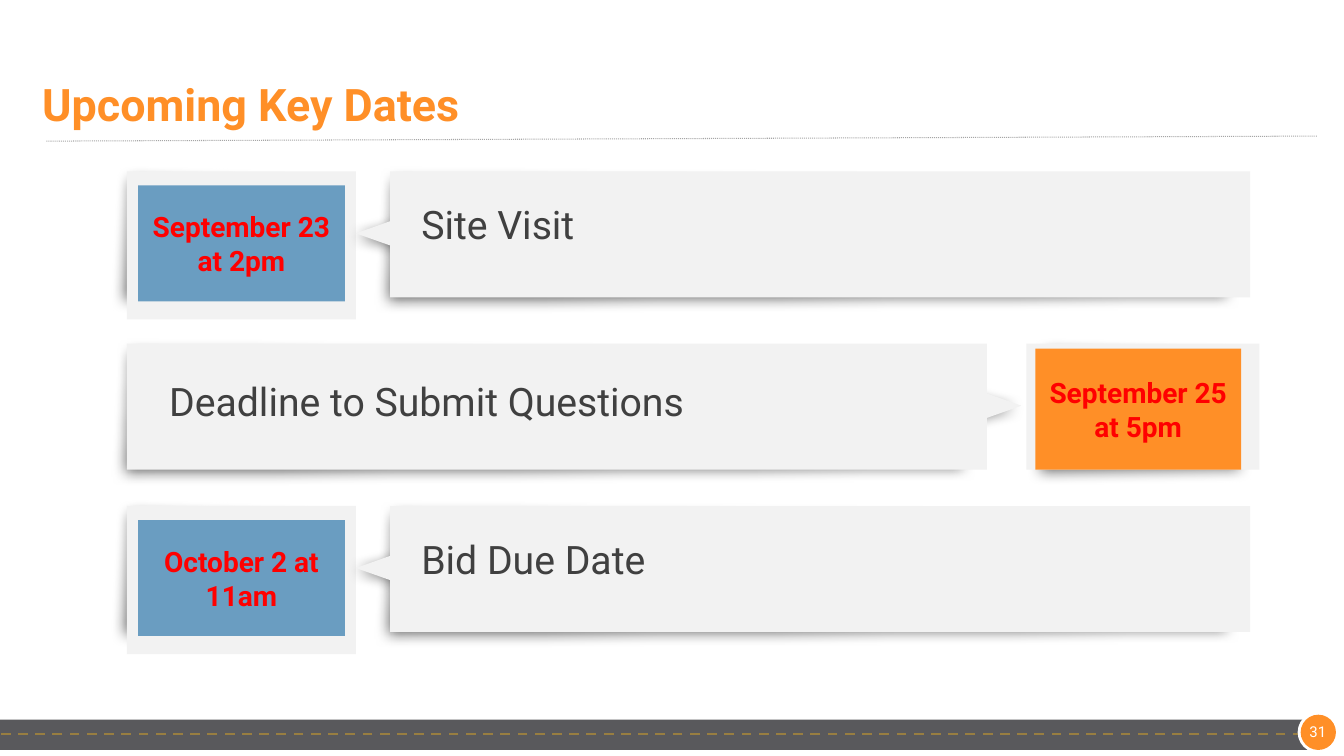
from lxml import etree
from pptx import Presentation
from pptx.dml.color import RGBColor
from pptx.enum.dml import MSO_LINE_DASH_STYLE as Dash
from pptx.enum.shapes import MSO_CONNECTOR, MSO_SHAPE as Preset
from pptx.enum.text import MSO_ANCHOR, PP_ALIGN
from pptx.oxml.ns import qn
from pptx.util import Inches, Pt

TITLE = "Upcoming Key Dates"
PAGE_NUMBER = "31"
FONT = "Roboto"
ORANGE, BLUE, RED = "FF8F27", "6A9DC1", "FF0000"
WHITE, PANEL, DARK = "FFFFFF", "F2F2F2", "404040"

LEFT_DATE = {
    "frame": (1.26, 2.27, 1.47), "frame_shadow": 1.26,
    "date_box": (1.37, 0.14, 2.05, 1.15), "date_fill": BLUE,
    "bar": 3.87, "label": (4.08, 0.24, 8.21), "rotation": 270,
    "pointer": 3.61, "pointer_shadow": 3.67,
}
RIGHT_DATE = {
    "frame": (10.18, 2.31, 1.25), "frame_shadow": 10.35,
    "date_box": (10.27, 0.05, 2.04, 1.2), "date_fill": ORANGE,
    "bar": 1.26, "label": (1.58, 0.28, 7.93), "rotation": 90,
    "pointer": 9.66, "pointer_shadow": 9.77,
}
# top, date, event, arrangement
EVENTS = [
    (1.7, "September 23 at 2pm", "Site Visit", LEFT_DATE),
    (3.41, "September 25 at 5pm", "Deadline to Submit Questions", RIGHT_DATE),
    (5.02, "October 2 at 11am", "Bid Due Date", LEFT_DATE),
]
BAR_WIDTH, BAR_HEIGHT = 8.53, 1.25
FRAME_OUTLINE = [(0.06, 0.05), (1.8, 0.1), (1.97, 1.21), (0, 1.24)]
BAR_OUTLINE = [(0.06, 0.05), (8.13, 0.12), (8.31, 1.19), (0, 1.24)]


def color(hex_text):
    return RGBColor.from_string(hex_text)


def paint(shape, fill, shadow=False):
    """Fill without outline, with a soft shadow to the lower left if wanted."""
    shape.fill.solid()
    shape.fill.fore_color.rgb = color(fill)
    shape.line.fill.background()
    shape.shadow.inherit = False
    if shadow:
        effects = shape._element.spPr.find(qn("a:effectLst"))
        outer = etree.SubElement(
            effects, qn("a:outerShdw"), blurRad=str(Pt(10)), dist=str(Pt(3)),
            dir=str(135 * 60000), algn="tr", rotWithShape="0")
        black = etree.SubElement(outer, qn("a:srgbClr"), val="000000")
        etree.SubElement(black, qn("a:alpha"), val="58000")


def add_preset(preset, left, top, width, height, fill, rotation=0, shadow=False):
    shape = slide.shapes.add_shape(
        preset, Inches(left), Inches(top), Inches(width), Inches(height))
    shape.rotation = rotation
    paint(shape, fill, shadow)
    return shape


def add_outline(left, top, offsets):
    points = [(Inches(left + x), Inches(top + y)) for x, y in offsets]
    builder = slide.shapes.build_freeform(*points[0])
    builder.add_line_segments(points[1:], close=True)
    paint(builder.convert_to_shape(), WHITE, shadow=True)


def write(shape, text, size, text_color, bold=False, align=PP_ALIGN.LEFT):
    shape.text_frame.word_wrap = True
    paragraph = shape.text_frame.paragraphs[0]
    paragraph.text = text
    paragraph.alignment = align
    font = paragraph.font
    font.name, font.size, font.bold = FONT, Pt(size), bold
    font.color.rgb = color(text_color)
    return paragraph


def add_text(left, top, width, height):
    return slide.shapes.add_textbox(
        Inches(left), Inches(top), Inches(width), Inches(height))


def add_line(x1, y1, x2, y2, line_color, width, dash):
    connector = slide.shapes.add_connector(
        MSO_CONNECTOR.STRAIGHT, Inches(x1), Inches(y1), Inches(x2), Inches(y2))
    connector.line.color.rgb = color(line_color)
    connector.line.width = Pt(width)
    connector.line.dash_style = dash
    etree.SubElement(connector._element.spPr, qn("a:effectLst"))


def add_event(top, date, event, place):
    frame_left, frame_width, frame_height = place["frame"]
    add_outline(place["frame_shadow"], top, FRAME_OUTLINE)
    add_preset(Preset.RECTANGLE, frame_left, top, frame_width, frame_height, PANEL)
    left, offset, width, height = place["date_box"]
    date_box = add_preset(
        Preset.RECTANGLE, left, top + offset, width, height, place["date_fill"])
    date_box.text_frame.vertical_anchor = MSO_ANCHOR.MIDDLE
    write(date_box, date, 20, RED, bold=True, align=PP_ALIGN.CENTER)

    add_preset(Preset.ISOSCELES_TRIANGLE, place["pointer_shadow"], top + 0.4,
               0.22, 0.43, WHITE, place["rotation"], shadow=True)
    add_outline(place["bar"], top, BAR_OUTLINE)
    add_preset(Preset.RECTANGLE, place["bar"], top, BAR_WIDTH, BAR_HEIGHT, PANEL)
    add_preset(Preset.ISOSCELES_TRIANGLE, place["pointer"], top + 0.34,
               0.39, 0.55, PANEL, place["rotation"])
    left, offset, width = place["label"]
    write(add_text(left, top + offset, width, 0.57), event, 28, DARK)


presentation = Presentation()
presentation.slide_width, presentation.slide_height = Inches(13.33), Inches(7.5)
slide = presentation.slides.add_slide(presentation.slide_layouts[6])

# Footer road and page badge
add_preset(Preset.RECTANGLE, 0, 7.14, 12.98, 0.3, "59595C")
add_line(12.92, 7.28, 0, 7.28, "987E41", 1.75, Dash.DASH)
add_preset(Preset.OVAL, 12.87, 7.06, 0.41, 0.41, WHITE)
add_preset(Preset.OVAL, 12.9, 7.09, 0.35, 0.35, ORANGE)
number_box = add_text(12.81, 7.16, 0.52, 0.21)
frame = number_box.text_frame
frame.margin_left = frame.margin_right = Inches(0.01)
frame.margin_top = frame.margin_bottom = Inches(0.01)
write(number_box, PAGE_NUMBER, 10.7, WHITE, align=PP_ALIGN.CENTER)

title = write(add_text(0.32, 0.77, 13.01, 0.91), TITLE, 32, ORANGE, bold=True)
title.line_spacing = 0.9
add_line(0.46, 1.4, 13.07, 1.35, "A6A6A6", 0.75, Dash.ROUND_DOT)

for row in EVENTS:
    add_event(*row)

presentation.save("out.pptx")
